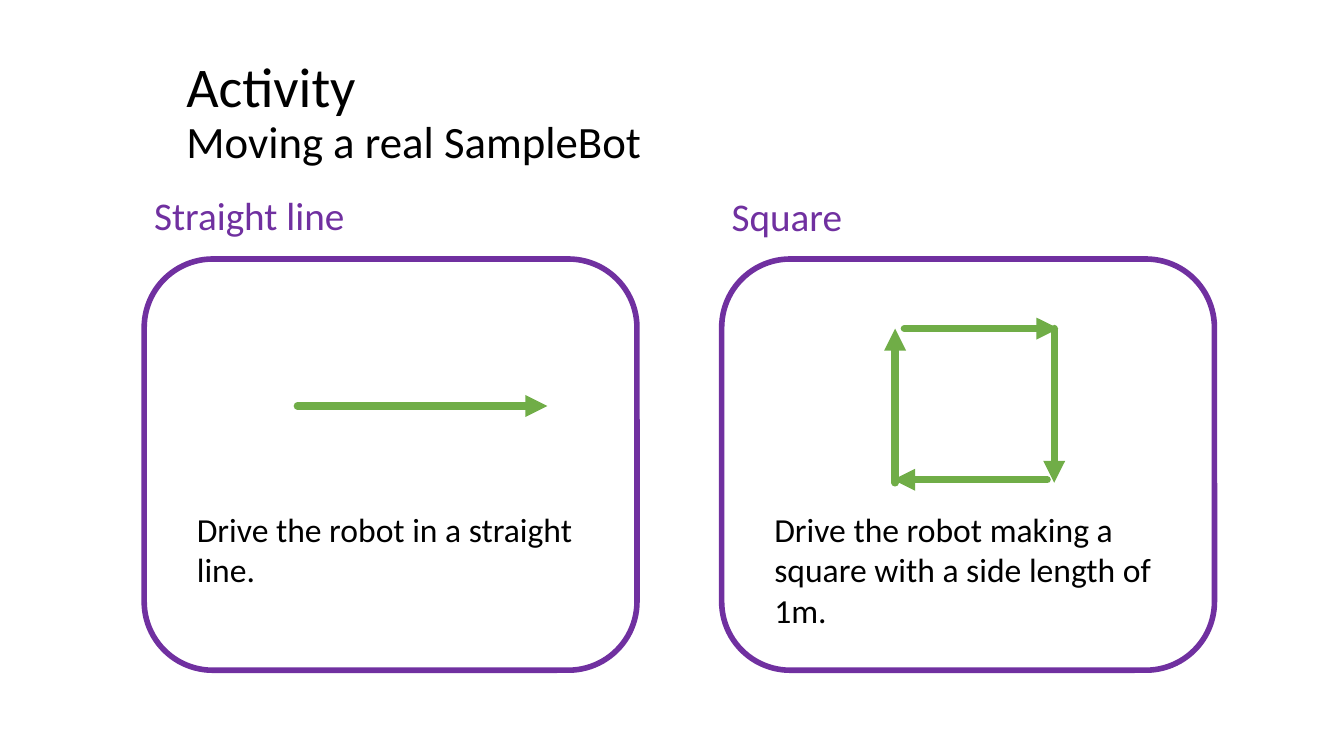
from dataclasses import dataclass

from lxml import etree
from pptx import Presentation
from pptx.dml.color import RGBColor
from pptx.enum.shapes import MSO_CONNECTOR, MSO_SHAPE
from pptx.enum.text import MSO_ANCHOR
from pptx.oxml.ns import qn
from pptx.util import Pt

LINE = MSO_CONNECTOR.STRAIGHT
ROUND = MSO_SHAPE.ROUNDED_RECTANGLE
TOP = MSO_ANCHOR.TOP
MIDDLE = MSO_ANCHOR.MIDDLE


@dataclass(frozen=True)
class Theme:
    """Colours, type sizes and line widths of the slide."""
    font: str = "Calibri"
    ink: str = "000000"
    frame: str = "7030A0"
    route: str = "70AD47"
    title: int = 40
    sub: int = 32
    head: int = 28
    body: int = 24
    edge: float = 4
    stroke: float = 5.25


THEME = Theme()


def add_run(para, text, size, color):
    """Add one styled run to a paragraph."""
    run = para.add_run()
    run.text = text
    run.font.name = THEME.font
    run.font.size = Pt(size)
    run.font.color.rgb = RGBColor.from_string(color)


def add_text(slide, box, runs, color, anchor=TOP, space=1.0):
    """Add a text box whose runs each start a new line."""
    frame = slide.shapes.add_textbox(*map(Pt, box)).text_frame
    frame.word_wrap = True
    frame.vertical_anchor = anchor
    para = frame.paragraphs[0]
    para.line_spacing = space
    for index, (text, size) in enumerate(runs):
        if index:
            para.add_line_break()
        add_run(para, text, size, color)


def add_frame(slide, left):
    """Add the rounded outline of a task."""
    shape = slide.shapes.add_shape(ROUND, Pt(left), Pt(185), Pt(352), Pt(293.75))
    shape.shadow.inherit = False
    shape.fill.background()
    shape.line.color.rgb = RGBColor.from_string(THEME.frame)
    shape.line.width = Pt(THEME.edge)


def add_arrow(slide, ends):
    """Add a round-capped arrow between two points."""
    arrow = slide.shapes.add_connector(LINE, *map(Pt, ends))
    arrow.line.color.rgb = RGBColor.from_string(THEME.route)
    arrow.line.width = Pt(THEME.stroke)
    props = arrow.element.spPr
    stroke = props.find(qn("a:ln"))
    stroke.set("cap", "rnd")
    etree.SubElement(stroke, qn("a:tailEnd"), type="triangle")
    etree.SubElement(props, qn("a:effectLst"))


def add_task(slide, left, top, name, note, height, route):
    """Add a task with its heading, frame, note and route."""
    add_text(slide, (left, top, 239, 41), [(name, THEME.head)], THEME.frame)
    add_frame(slide, left)
    add_text(slide, (left + 30.5, 360, 290, height),
             [(note, THEME.body)], THEME.ink)
    for ends in route:
        add_arrow(slide, ends)


def main():
    """Build and save the slide."""
    deck = Presentation()
    deck.slide_width, deck.slide_height = Pt(960), Pt(540)
    slide = deck.slides.add_slide(deck.slide_layouts[6])
    add_text(slide, (126, 28.8, 602.6, 104.4),
             [("Activity", THEME.title),
              ("Moving a real SampleBot", THEME.sub)],
             THEME.ink, MIDDLE, 0.9)
    add_task(slide, 103, 133.2, "Straight line",
             "Drive the robot in a straight line.", 65.5,
             [(212.4, 290, 391, 290)])
    add_task(slide, 515.5, 133.9, "Square",
             "Drive the robot making a square with a side length of 1m.", 94.3,
             [(646, 234.7, 756, 234.7), (753, 234.7, 753, 344.9),
              (748, 342.7, 638, 342.7), (639.4, 344.9, 639.4, 234.7)])
    deck.save("out.pptx")


if __name__ == "__main__":
    main()
